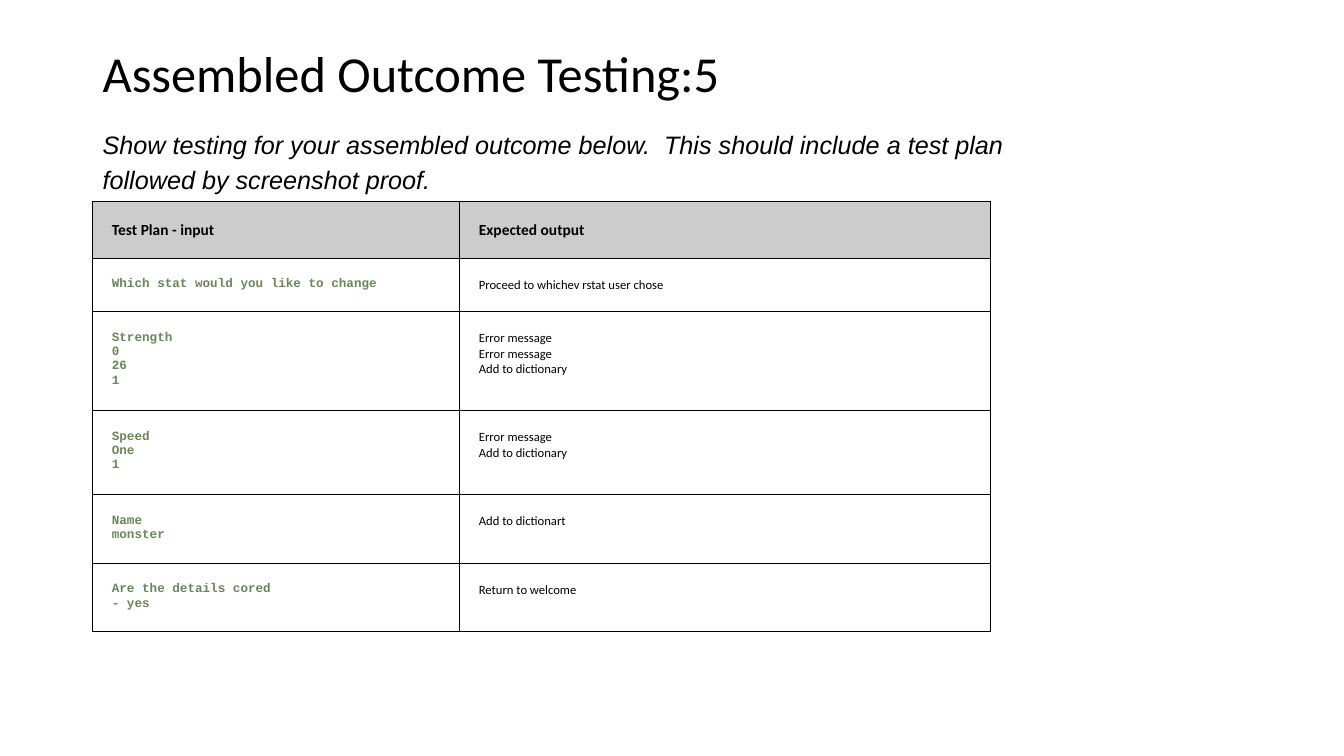
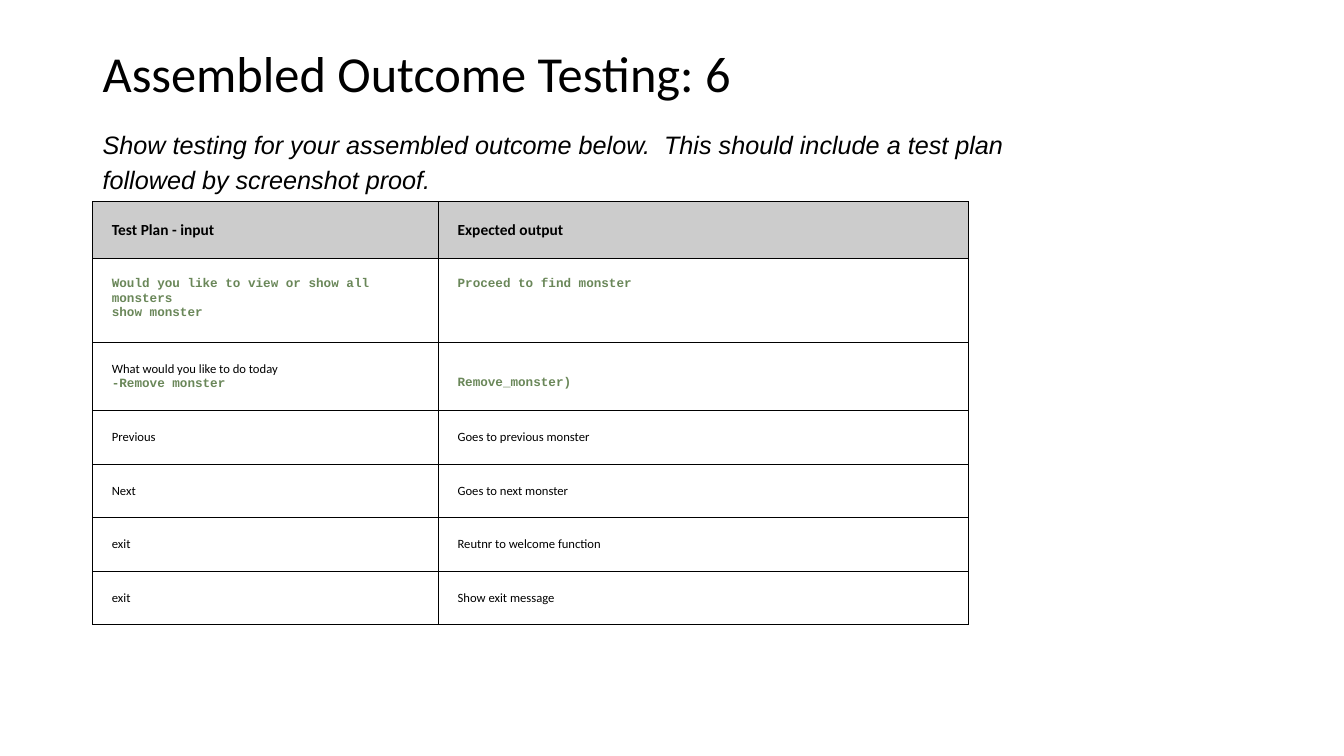
from dataclasses import dataclass

from lxml import etree
from pptx import Presentation
from pptx import util as u
from pptx.dml.color import RGBColor
from pptx.enum import text
from pptx.oxml import ns


@dataclass(frozen=True)
class Type:
    font: str
    size: int
    color: str = "000000"
    bold: bool = False
    ital: bool = False


@dataclass(frozen=True)
class Theme:
    title: Type = Type("Calibri", 36)
    brief: Type = Type("Arial", 18, ital=True)
    head: Type = Type("Calibri", 11, bold=True)
    plain: Type = Type("Calibri", 9)
    code: Type = Type("Courier New", 9, "6A8759", bold=True)
    band: str = "CCCCCC"
    rule: str = "000000"
    line: float = 0.75


T = Theme()
WIDE, HIGH = u.Inches(13.33), u.Inches(7.5)
LEFT = 6.9
TOP = 26.67
RIGHT_COL = 39.46
HEAD_ROW = 7.33
ROW = 7.07
STEP = 2
PAD = u.Inches(0.19)
BRIEF = ("Show testing for your assembled outcome below.  This should include "
         "a test plan followed by screenshot proof.")


def across(share):
    return round(WIDE * share / 100)


def down(share):
    return round(HIGH * share / 100)


def plain(*lines):
    return [(line, T.plain) for line in lines]


def code(*lines):
    return [(line, T.code) for line in lines]


def style(para, kind):
    for run in para.runs:
        font = run.font
        font.name, font.size = kind.font, u.Pt(kind.size)
        font.bold, font.italic = kind.bold, kind.ital
        font.color.rgb = RGBColor.from_string(kind.color)


def write(frame, lines):
    frame.text = "\n".join(line for line, kind in lines)
    for para, (line, kind) in zip(frame.paragraphs, lines):
        style(para, kind)


def add_text(slide, top, width, height, words, kind, space, anchor):
    box = slide.shapes.add_textbox(across(LEFT), down(top), across(width), down(height))
    frame = box.text_frame
    frame.word_wrap = True
    frame.vertical_anchor = anchor
    write(frame, [(words, kind)])
    frame.paragraphs[0].line_spacing = space


def add_edges(cell):
    props = cell._tc.get_or_add_tcPr()
    for side in ("a:lnL", "a:lnR", "a:lnT", "a:lnB"):
        edge = etree.SubElement(props, ns.qn(side), w=str(u.Pt(T.line)))
        fill = etree.SubElement(edge, ns.qn("a:solidFill"))
        etree.SubElement(fill, ns.qn("a:srgbClr"), val=T.rule)


def fill_cell(cell, lines, band, skip):
    cell.margin_left = cell.margin_right = cell.margin_bottom = PAD
    cell.margin_top = PAD + down(STEP * skip)
    write(cell.text_frame, lines)
    add_edges(cell)
    if band:
        cell.fill.solid()
        cell.fill.fore_color.rgb = RGBColor.from_string(T.band)
    else:
        cell.fill.background()


def add_plan(slide, first, rows, drops):
    heads = [[(name, T.head)] for name in ("Test Plan - input", "Expected output")]
    cells = [heads] + [pair for count, *pair in rows]
    highs = [HEAD_ROW] + [ROW + STEP * (count - 1) for count, *pair in rows]
    widths = [first, RIGHT_COL]
    table = slide.shapes.add_table(
        len(cells), len(widths), across(LEFT), down(TOP),
        across(sum(widths)), down(sum(highs))).table
    table.first_row = table.horz_banding = False
    for col, width in zip(table.columns, widths):
        col.width = across(width)
    for r, (pair, high) in enumerate(zip(cells, highs)):
        table.rows[r].height = down(high)
        for c, lines in enumerate(pair):
            fill_cell(table.cell(r, c), lines, r == 0, drops.get((r, c), 0))


def add_page(deck, title, first, rows, drops):
    slide = deck.slides.add_slide(deck.slide_layouts[6])
    add_text(slide, 5.87, 86.3, 8.53, title, T.title, 0.9, text.MSO_ANCHOR.MIDDLE)
    add_text(slide, 15.87, 71.94, 10.27, BRIEF, T.brief, 1.15, text.MSO_ANCHOR.TOP)
    add_plan(slide, first, rows, drops)


STATS = [
    (1, code("Which stat would you like to change"),
     plain("Proceed to whichev rstat user chose")),
    (4, code("Strength", "0", "26", "1"),
     plain("Error message", "Error message", "Add to dictionary")),
    (3, code("Speed", "One", "1"), plain("Error message", "Add to dictionary")),
    (2, code("Name", "monster"), plain("Add to dictionart")),
    (2, code("Are the details cored", "- yes"), plain("Return to welcome")),
]

VIEWS = [
    (3, code("Would you like to view or show all monsters", "show monster"),
     code("Proceed to find monster")),
    (2, plain("What would you like to do today") + code("-Remove monster"),
     code("Remove_monster)")),
    (1, plain("Previous"), plain("Goes to previous monster")),
    (1, plain("Next"), plain("Goes to next monster")),
    (1, plain("exit"), plain("Reutnr to welcome function")),
    (1, plain("exit"), plain("Show exit message")),
]


def main():
    deck = Presentation()
    deck.slide_width, deck.slide_height = WIDE, HIGH
    add_page(deck, "Assembled Outcome Testing:5", 27.31, STATS, {})
    add_page(deck, "Assembled Outcome Testing: 6", 25.73, VIEWS, {(2, 1): 1})
    deck.save("out.pptx")


if __name__ == "__main__":
    main()
